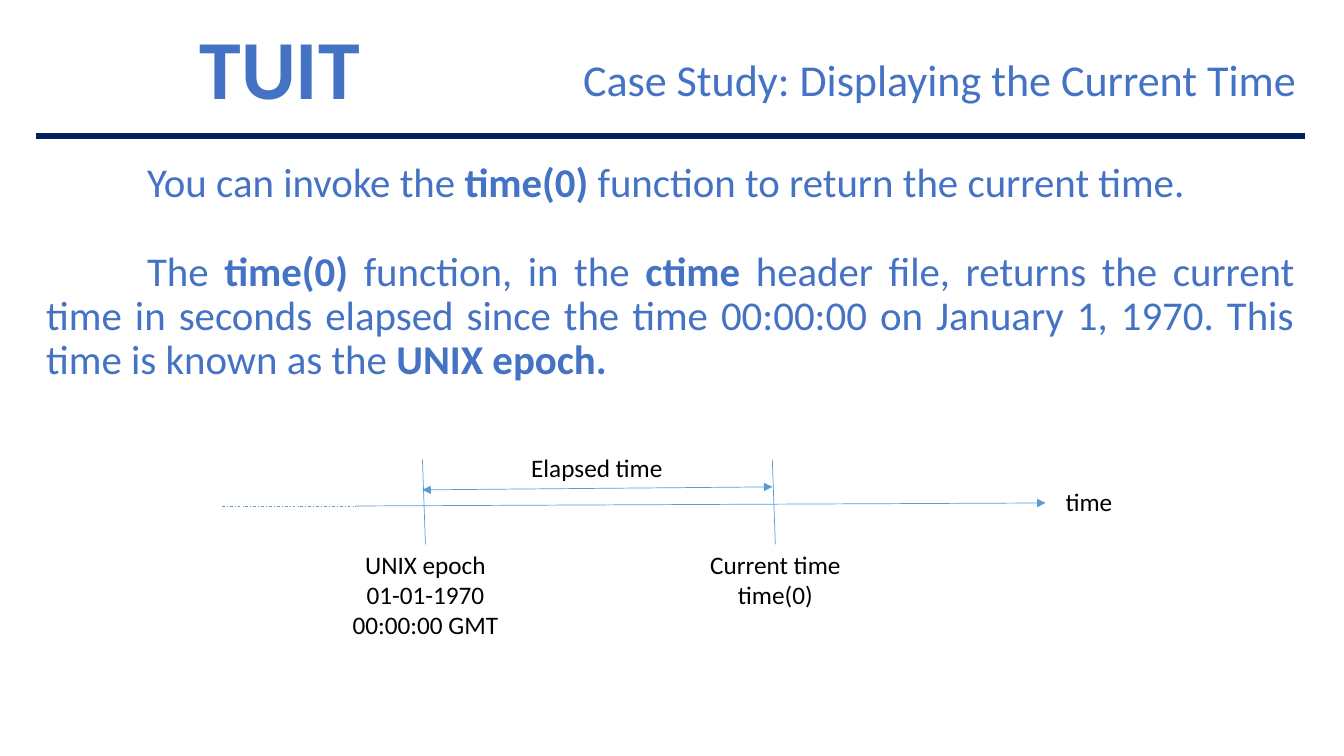
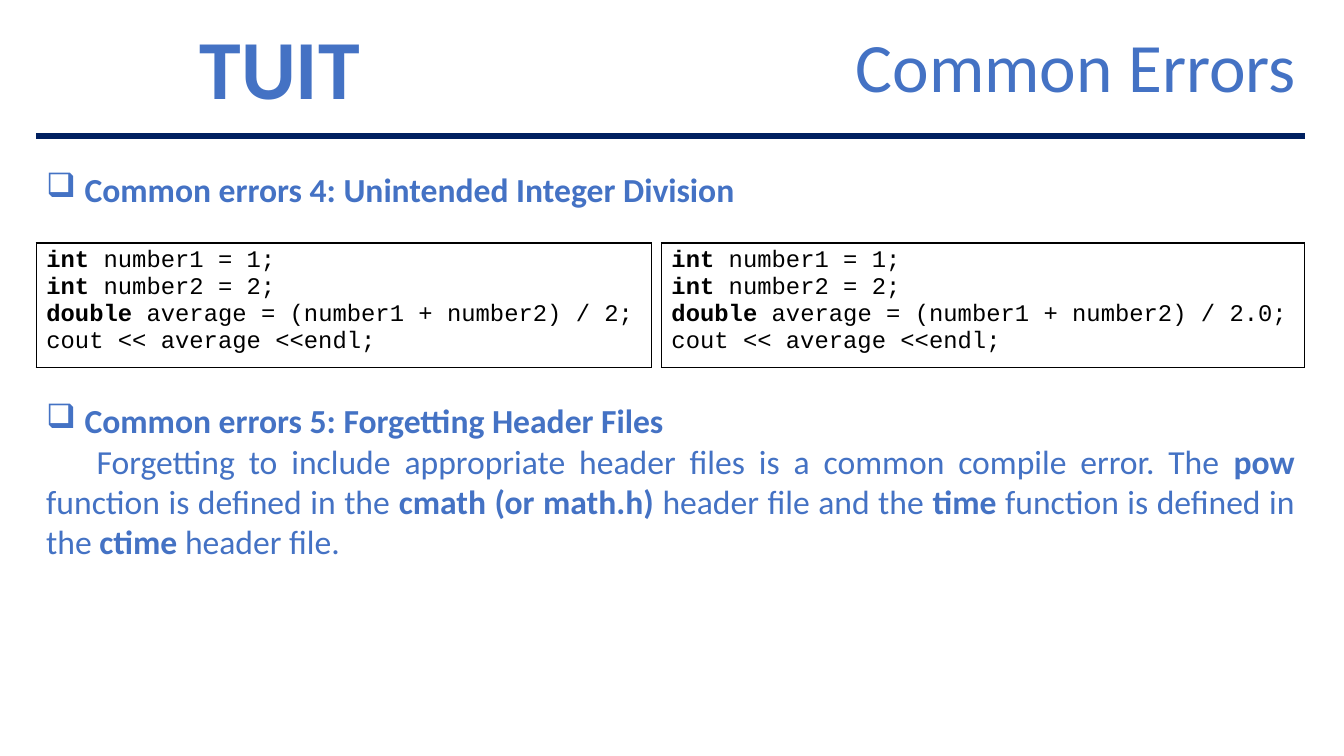
"""Build two lecture slides on the current time and common errors."""
from dataclasses import dataclass

from pptx import Presentation
from pptx.dml import color
from pptx.enum import dml, shapes, text
from pptx.oxml import ns, xmlchemy
from pptx.util import Inches, Pt


@dataclass(frozen=True)
class Theme:
    """Colours, fonts, type sizes and margins shared by the slides."""
    accent: str = "4472C4"
    navy: str = "002060"
    diagram: str = "5B9BD5"
    black: str = "000000"
    font: str = "Calibri"
    code_font: str = "Courier New"
    brand_size: float = 60
    body_size: float = 29.2
    point_size: float = 24
    label_size: float = 18
    code_size: float = 17
    left: float = 0.36
    width: float = 12.58


THEME = Theme()
ALIGN = text.PP_ALIGN


def rgb(value):
    """Return a colour from its hex text."""
    return color.RGBColor.from_string(value)


def sub_element(parent, tag, **attributes):
    """Append a drawing element with the given attributes."""
    element = xmlchemy.OxmlElement(tag)
    for name, value in attributes.items():
        element.set(name, str(value))
    parent.append(element)
    return element


def write_paragraph(paragraph, content, size, fill=THEME.black, font=THEME.font,
                    align=None, spacing=None, before=None, indent=0, bullet=None, bold=None):
    """Write a paragraph in which ** switches bold on and off."""
    paragraph.alignment = align
    paragraph.line_spacing = spacing
    if before:
        paragraph.space_before = Pt(before)
    properties = paragraph._p.get_or_add_pPr()
    if indent:
        properties.set("marL", str(Inches(max(0, -indent))))
        properties.set("indent", str(Inches(indent)))
    if bullet:
        sub_element(properties, "a:buChar", char=bullet)
    paragraph.font.name = font
    paragraph.font.size = Pt(size)
    paragraph.font.color.rgb = rgb(fill)
    paragraph.font.bold = bold
    for index, part in enumerate(content.split("**")):
        if part:
            run = paragraph.add_run()
            run.text = part
            if index % 2:
                run.font.bold = True


def write_paragraphs(frame, items, **style):
    """Fill a frame with (content, overrides) pairs sharing one style."""
    for index, (content, overrides) in enumerate(items):
        paragraph = frame.add_paragraph() if index else frame.paragraphs[0]
        write_paragraph(paragraph, content, **{**style, **overrides})


def add_text(slide, box, items, anchor=text.MSO_ANCHOR.TOP, **style):
    """Add a wrapping text box; items is a string or a list of pairs."""
    shape = slide.shapes.add_textbox(*map(Inches, box))
    shape.text_frame.word_wrap = True
    shape.text_frame.vertical_anchor = anchor
    pairs = [(items, {})] if isinstance(items, str) else items
    write_paragraphs(shape.text_frame, pairs, **style)
    return shape


def add_line(slide, start, end, stroke=THEME.diagram, width=0.5, dash=None, arrows=()):
    """Add a straight line with arrowheads at the ends named in arrows."""
    connector = slide.shapes.add_connector(
        shapes.MSO_CONNECTOR.STRAIGHT, *map(Inches, (*start, *end)))
    connector.line.color.rgb = rgb(stroke)
    connector.line.width = Pt(width)
    if dash:
        connector.line.dash_style = dash
    for arrow in arrows:
        sub_element(connector.line._get_or_add_ln(), f"a:{arrow}", type="triangle")
    sub_element(connector._element.spPr, "a:effectLst")
    return connector


def add_code(slide, left, width, lines):
    """Add a bordered one-cell table of code."""
    frame = slide.shapes.add_table(1, 1, *map(Inches, (left, 2.41, width, 1.23)))
    table = frame.table
    table.first_row = table.horz_banding = False
    cell = table.cell(0, 0)
    write_paragraphs(cell.text_frame, [(line, {}) for line in lines],
                     size=THEME.code_size, font=THEME.code_font)
    properties = cell._tc.get_or_add_tcPr()
    for side in ("a:lnL", "a:lnR", "a:lnT", "a:lnB"):
        border = sub_element(properties, side, w=Pt(1))
        solid = sub_element(border, "a:solidFill")
        sub_element(solid, "a:srgbClr", val=THEME.black)
    cell.fill.background()


def add_slide(presentation, title, size):
    """Add a blank slide with the shared brand, rule and title."""
    slide = presentation.slides.add_slide(presentation.slide_layouts[6])
    add_text(slide, (1.88, 0.26, 1.93, 0.81), "TUIT", size=THEME.brand_size,
             fill=THEME.accent, align=ALIGN.JUSTIFY, spacing=0.85, bold=True)
    add_line(slide, (THEME.left, 1.35), (THEME.left + THEME.width, 1.35), THEME.navy, 4.5)
    add_text(slide, (5.45, 0.33, 7.5, 0.75), title, text.MSO_ANCHOR.BOTTOM,
             size=size, fill=THEME.accent, align=ALIGN.RIGHT, spacing=0.7)
    return slide


def add_body(slide, top, height, items, **style):
    """Add justified accent text across the full content width."""
    add_text(slide, (THEME.left, top, THEME.width, height), items,
             fill=THEME.accent, align=ALIGN.JUSTIFY, **style)


def add_timeline(slide):
    """Draw the time axis with its two moments and the elapsed span."""
    add_line(slide, (3.53, 5.02), (10.37, 4.99), arrows=["tailEnd"])
    add_line(slide, (2.2, 5.02), (3.53, 5.02), dash=dml.MSO_LINE.DASH_DOT)
    moments = ((4.19, 1.01, "UNIX epoch 01-01-1970 00:00:00 GMT"),
               (7.66, 0.71, "Current time time(0)"))
    label_width = 1.72
    for x, height, caption in moments:
        foot = x + 0.03
        label = add_text(slide, (foot - label_width / 2, 5.4, label_width, height),
                         caption, size=THEME.label_size, align=ALIGN.CENTER)
        marker = add_line(slide, (x, 4.56), (foot, 5.4))
        marker.end_connect(label, 0)
    add_line(slide, (moments[0][0], 4.86), (moments[1][0], 4.83),
             arrows=["headEnd", "tailEnd"])
    add_text(slide, (5.17, 4.44, 1.86, 0.4), "Elapsed time", size=THEME.label_size)
    add_text(slide, (10.47, 4.78, 0.75, 0.4), "time", size=THEME.label_size)


def build_time_slide(presentation):
    """Build the slide about the current time."""
    slide = add_slide(presentation, "Case Study: Displaying the Current Time", 31.5)
    add_body(slide, 1.56, 5.61, [
        ("You can invoke the **time(0) **function to return the current time.", {}),
        ("The **time(0) **function, in the **ctime **header file, returns the current "
         "time in seconds elapsed since the time 00:00:00 on January 1, 1970. "
         "This time is known as the **UNIX epoch.**", {"before": 32}),
    ], size=THEME.body_size, spacing=0.9, indent=1)
    add_timeline(slide)


def build_errors_slide(presentation):
    """Build the slide about common errors."""
    slide = add_slide(presentation, "Common Errors", 49.5)
    heading = {"bullet": "❑", "indent": -0.38, "bold": True}
    add_body(slide, 1.63, 0.5, [
        ("Common errors 4: Unintended Integer Division", heading),
    ], size=THEME.point_size)
    for left, width, divisor in ((THEME.left, 6.1, "2"), (6.56, 6.38, "2.0")):
        add_code(slide, left, width, [
            "**int** number1 = 1;",
            "**int** number2 = 2;",
            f"**double** average = (number1 + number2) / {divisor};",
            "cout << average <<endl;",
        ])
    add_body(slide, 3.92, 1.72, [
        ("Common errors 5: Forgetting Header Files", heading),
        ("Forgetting to include appropriate header files is a common compile error. "
         "The **pow **function is defined in the **cmath (or math.h) **header file and "
         "the **time **function is defined in the **ctime **header file.", {"indent": 0.5}),
    ], size=THEME.point_size)


def main():
    """Create and save the presentation."""
    presentation = Presentation()
    presentation.slide_width = Inches(13.33)
    presentation.slide_height = Inches(7.5)
    build_time_slide(presentation)
    build_errors_slide(presentation)
    presentation.save("out.pptx")


if __name__ == "__main__":
    main()
